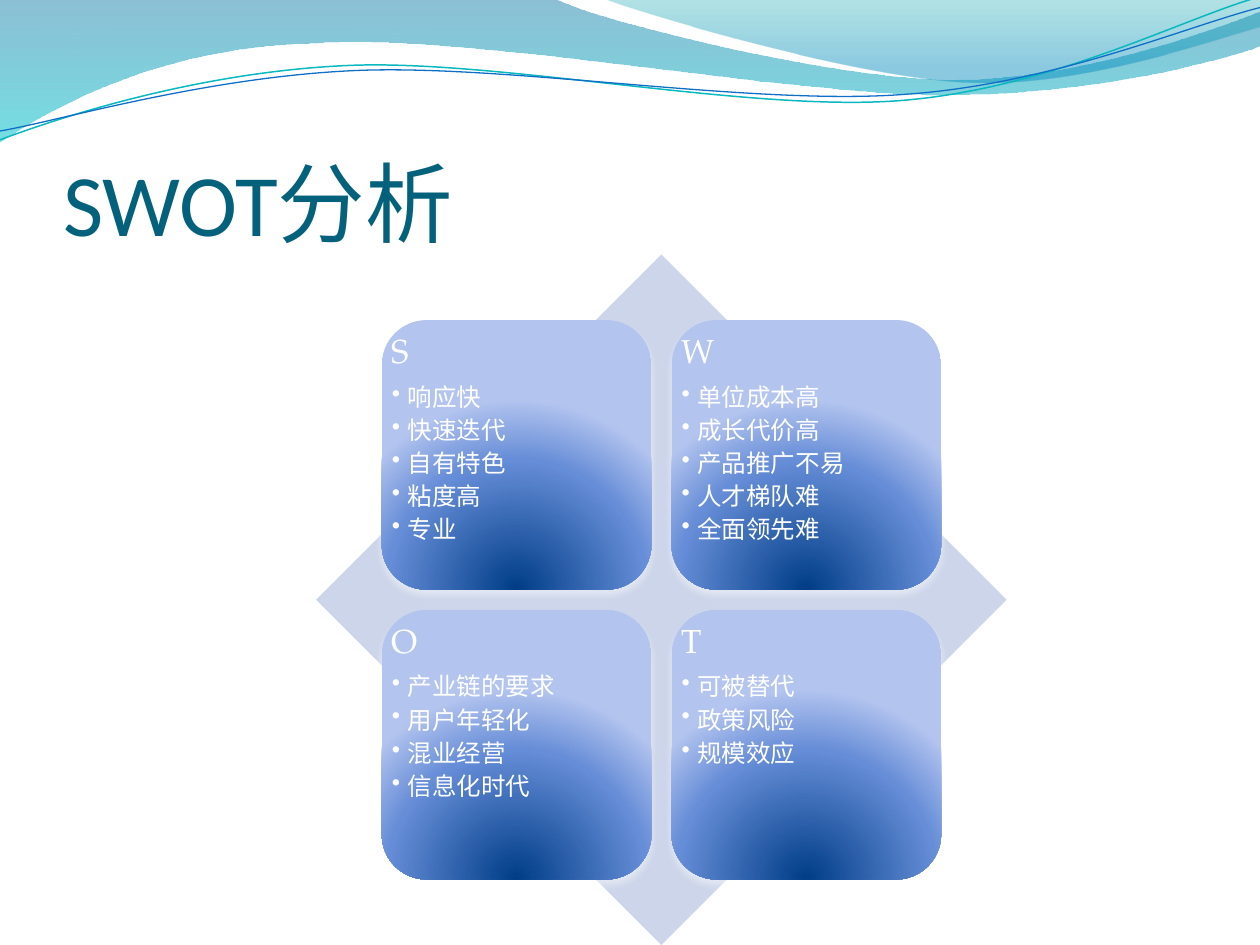
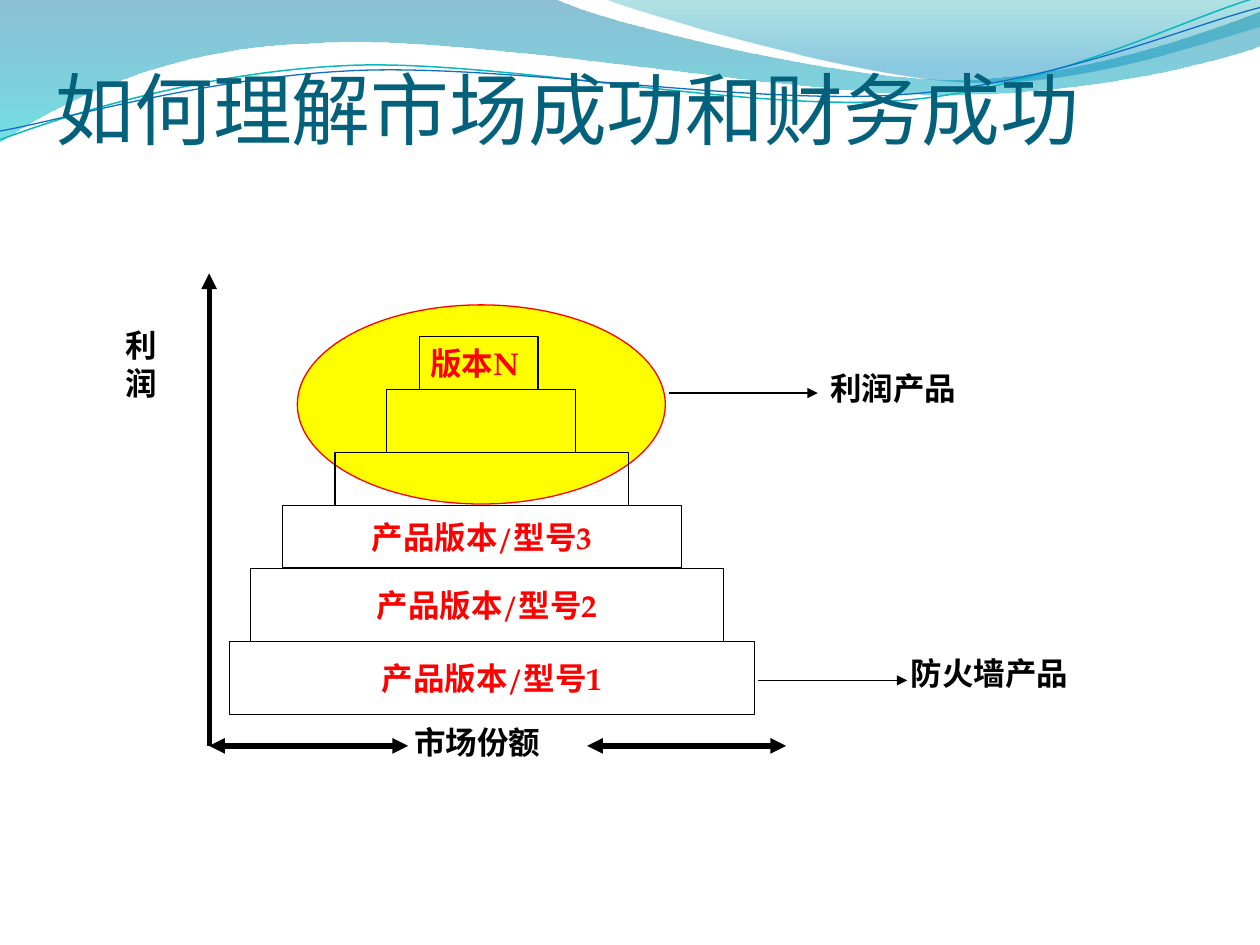
from lxml.etree import SubElement
from pptx import Presentation
from pptx.dml.color import RGBColor
from pptx.enum.shapes import MSO_CONNECTOR, MSO_SHAPE
from pptx.enum.text import MSO_ANCHOR, MSO_AUTO_SIZE, PP_ALIGN
from pptx.oxml import parse_xml
from pptx.oxml.ns import nsdecls, qn
from pptx.util import Inches, Pt

TEAL = RGBColor(0x04, 0x61, 0x7B)
AQUA = RGBColor(0x0A, 0xB8, 0xBF)
BLUE = RGBColor(0x0F, 0x6F, 0xC6)
PALE_BLUE = RGBColor(0xCC, 0xD5, 0xEA)
WHITE = RGBColor(0xFF, 0xFF, 0xFF)
BLACK = RGBColor(0x00, 0x00, 0x00)
RED = RGBColor(0xFF, 0x00, 0x00)
YELLOW = RGBColor(0xFF, 0xFF, 0x00)
WAVE_DARK, WAVE_CYAN = RGBColor(0x00, 0x74, 0xA1), RGBColor(0x00, 0xC6, 0xCF)
WAVE_GREEN, WAVE_BLUE = RGBColor(0x00, 0xA1, 0xA9), RGBColor(0x00, 0x8B, 0xBF)
CARD_DARK, CARD_MID = RGBColor(0x00, 0x3D, 0x87), RGBColor(0x66, 0x8D, 0xD7)
CARD_LIGHT = RGBColor(0xB3, 0xC4, 0xEF)

TITLE_FONT, BODY_FONT = "Calibri", "TeX Gyre Pagella"
DOWNWARD = '<a:lin ang="5400000" scaled="0"/>'
FROM_BELOW = ('<a:path path="circle"><a:fillToRect l="50000" t="130000" '
              'r="50000" b="-30000"/></a:path>')


def fill_gradient(shape, stops, direction):
    """Fill with (position %, colour, opacity %) stops."""
    stop_xml = "".join(
        f'<a:gs pos="{position * 1000}"><a:srgbClr val="{colour}">'
        f'<a:alpha val="{opacity * 1000}"/></a:srgbClr></a:gs>'
        for position, colour, opacity in stops)
    gradient = parse_xml(f'<a:gradFill {nsdecls("a")} rotWithShape="1">'
                         f'<a:gsLst>{stop_xml}</a:gsLst>{direction}</a:gradFill>')
    shape.fill.background()
    no_fill = shape.element.spPr.find(qn("a:noFill"))
    shape.element.spPr.replace(no_fill, gradient)


def write(paragraph, text, size, colour, font=BODY_FONT, bold=False):
    paragraph.text = text
    for span in paragraph.runs:
        span.font.name = font
        span.font.size = Pt(size)
        span.font.bold = bold
        span.font.color.rgb = colour


deck = Presentation()
deck.slide_width, deck.slide_height = Inches(10), Inches(7.5)
layout = deck.slide_layouts[5]

# Title, size, then left, top, width and height of its box
titles = [
    ("SWOT分析", 50, (0.5, 0.77, 9.08, 1.25)),
    ("如何理解市场成功和财务成功", 45, (0.44, 0.36, 9.18, 0.87)),
]
pages = []
for text, size, place in titles:
    page = deck.slides.add_slide(layout)
    title = page.shapes.title
    title.left, title.top, title.width, title.height = map(Inches, place)
    frame = title.text_frame
    frame.auto_size = MSO_AUTO_SIZE.NONE
    frame.vertical_anchor = MSO_ANCHOR.BOTTOM
    frame.margin_left = frame.margin_right = frame.margin_bottom = 0
    frame.margin_top = Inches(0.05)
    write(frame.paragraphs[0], text, size, TEAL, TITLE_FONT)
    frame.paragraphs[0].alignment = PP_ALIGN.LEFT
    pages.append(page)
swot_page, success_page = pages

# Shared waves: start, then corners (x, y) or curves (two controls and an end)
waves = [
    ((0, 0), [(4.4, -0.01), (4.76, 0.17, 6.64, 0.63, 7.58, 0.63),
              (8.53, 0.63, 9.58, 0.26, 10, 0.09), (10.01, 0.36),
              (9.83, 0.44, 8.7, 0.76, 7.46, 0.75),
              (6.22, 0.75, 3.82, 0.28, 2.57, 0.34),
              (1.29, 0.36, 0.46, 0.83, -0.01, 1.13)],
     [(0, WAVE_DARK, 45), (100, WAVE_CYAN, 55)], None),
    ((4.79, -0.01), [(5.09, 0.11, 6.82, 0.62, 7.69, 0.65),
                     (8.56, 0.69, 9.61, 0.32, 10, 0.21), (10, 0)],
     [(0, WAVE_GREEN, 30), (80, WAVE_BLUE, 45)], None),
    ((0, 1.11), [(0.48, 0.93, 1.58, 0.57, 2.77, 0.52),
                 (3.95, 0.47, 5.93, 0.89, 7.13, 0.8),
                 (8.33, 0.71, 9.38, 0.15, 9.98, -0.02)], None, (AQUA, 0.85)),
    ((0, 1.04), [(0.47, 0.96, 1.64, 0.61, 2.83, 0.56),
                 (4.03, 0.51, 5.97, 0.84, 7.17, 0.75),
                 (8.36, 0.67, 9.41, 0.21, 10, 0.06)], None, (BLUE, 0.75)),
]
for depth, (start, segments, stops, stroke) in enumerate(waves):
    outline = swot_page.shapes.build_freeform(*map(Inches, start))
    outline.add_line_segments([tuple(map(Inches, segment[-2:])) for segment in segments],
                              close=stops is not None)
    wave = outline.convert_to_shape()
    straight_lines = list(wave.element.iter(qn("a:lnTo")))
    for straight, segment in zip(straight_lines, segments):
        if len(segment) == 6:
            straight.tag = qn("a:cubicBezTo")
            controls = [(segment[0], segment[1]), (segment[2], segment[3])]
            for position, (x, y) in enumerate(controls):
                control = SubElement(straight, qn("a:pt"), x=str(Inches(x) - wave.left),
                                     y=str(Inches(y) - wave.top))
                straight.insert(position, control)
    wave.shadow.inherit = False
    if stops:
        fill_gradient(wave, stops, DOWNWARD)
        wave.line.fill.background()
    else:
        wave.fill.background()
        wave.line.color.rgb, wave.line.width = stroke[0], Pt(stroke[1])
    layout.shapes.element.insert(2 + depth, wave.element)

# SWOT matrix: a 2 x 2 grid of cards on a diamond
CARD, CARD_PITCH, GRID_LEFT, GRID_TOP = 2.14, 2.3, 3.03, 2.54
diamond = swot_page.shapes.add_shape(
    MSO_SHAPE.DIAMOND, Inches(2.51), Inches(2.02), Inches(5.48), Inches(5.48))
diamond.shadow.inherit = False
diamond.fill.solid()
diamond.fill.fore_color.rgb = PALE_BLUE
diamond.line.fill.background()

cards = [
    ("S", ["响应快", "快速迭代", "自有特色", "粘度高", "专业"]),
    ("W", ["单位成本高", "成长代价高", "产品推广不易", "人才梯队难", "全面领先难"]),
    ("O", ["产业链的要求", "用户年轻化", "混业经营", "信息化时代"]),
    ("T", ["可被替代", "政策风险", "规模效应"]),
]
for index, (letter, points) in enumerate(cards):
    row, column = divmod(index, 2)
    place = (Inches(GRID_LEFT + column * CARD_PITCH), Inches(GRID_TOP + row * CARD_PITCH),
             Inches(CARD), Inches(CARD))
    card = swot_page.shapes.add_shape(MSO_SHAPE.ROUNDED_RECTANGLE, *place)
    card.line.fill.background()
    fill_gradient(card, [(0, CARD_DARK, 100), (68, CARD_MID, 100), (100, CARD_LIGHT, 100)],
                  FROM_BELOW)
    card.element.spPr.append(parse_xml(
        f'<a:effectLst {nsdecls("a")}><a:outerShdw blurRad="{Pt(4.5)}" dist="{Pt(3)}" '
        f'dir="5400000" rotWithShape="0"><a:srgbClr val="{WHITE}"><a:alpha val="48000"/>'
        '</a:srgbClr></a:outerShdw></a:effectLst>'))

    frame = swot_page.shapes.add_textbox(*place).text_frame
    frame.word_wrap = True
    frame.margin_left = frame.margin_right = Inches(0.08)
    frame.margin_top = frame.margin_bottom = Inches(0.08)
    write(frame.paragraphs[0], letter, 19, WHITE)
    frame.paragraphs[0].space_after = Pt(6.65)
    for point in points:
        para = frame.add_paragraph()
        write(para, point, 14, WHITE)
        para.level = 1
        para.space_after = Pt(2.1)
        properties = para._p.get_or_add_pPr()
        properties.set("marL", str(Pt(9)))
        properties.set("indent", str(-Pt(9)))
        SubElement(properties, qn("a:buChar"), char="•")

# Product pyramid: profit products highlighted at its top
highlight = success_page.shapes.add_shape(
    MSO_SHAPE.OVAL, Inches(2.36), Inches(2.42), Inches(2.92), Inches(1.58))
highlight.shadow.inherit = False
highlight.fill.solid()
highlight.fill.fore_color.rgb = YELLOW
highlight.line.color.rgb, highlight.line.width = RED, Pt(0.75)
success_page.shapes.element.insert(2, highlight.element)

# Left, width, height and text of each tier, stacked from the top down
tiers = [
    (3.33, 0.94, 0.42, "版本N "),
    (3.07, 1.5, 0.5, ""),
    (2.66, 2.33, 0.42, ""),
    (2.24, 3.17, 0.5, "产品版本/型号3"),
    (1.99, 3.75, 0.58, "产品版本/型号2"),
    (1.82, 4.17, 0.58, "产品版本/型号1"),
]
tier_top = 2.67
for left, width, height, text in tiers:
    tier = success_page.shapes.add_shape(
        MSO_SHAPE.RECTANGLE, Inches(left), Inches(tier_top), Inches(width), Inches(height))
    tier.shadow.inherit = False
    tier.fill.background()
    tier.line.color.rgb, tier.line.width = BLACK, Pt(0.75)
    if text:
        frame = tier.text_frame
        frame.word_wrap = False
        frame.vertical_anchor = MSO_ANCHOR.MIDDLE
        write(frame.paragraphs[0], text, 18, RED, bold=True)
        frame.paragraphs[0].alignment = PP_ALIGN.CENTER
    tier_top += height

# Start, end, width and arrowheads
AXIS_X, AXIS_Y = 1.66, 5.92
arrows = [
    ((AXIS_X, AXIS_Y), (AXIS_X, 2.17), 3, ["tailEnd"]),
    ((AXIS_X, AXIS_Y), (3.24, AXIS_Y), 3, ["headEnd", "tailEnd"]),
    ((4.66, AXIS_Y), (6.24, AXIS_Y), 3, ["headEnd", "tailEnd"]),
    ((6.02, 5.4), (7.2, 5.4), 0.75, ["tailEnd"]),
    ((5.31, 3.12), (6.49, 3.12), 0.75, ["tailEnd"]),
]
for start, end, width, heads in arrows:
    arrow = success_page.shapes.add_connector(
        MSO_CONNECTOR.STRAIGHT, *map(Inches, start + end))
    arrow.line.color.rgb, arrow.line.width = BLACK, Pt(width)
    for head in heads:
        SubElement(arrow.line._get_or_add_ln(), qn(f"a:{head}"), type="triangle")
    SubElement(arrow.element.spPr, qn("a:effectLst"))

labels = [
    ("利润", 0.9, 2.54, 0.5, 0.9),
    ("市场份额", 3.19, 5.69, 1.95, 0.5),
    ("防火墙产品", 7.13, 5.14, 1.97, 0.5),
    ("利润产品", 6.49, 2.88, 1.97, 0.5),
]
for text, *place in labels:
    frame = success_page.shapes.add_textbox(*map(Inches, place)).text_frame
    frame.word_wrap = True
    write(frame.paragraphs[0], text, 18, BLACK, bold=True)

deck.save("out.pptx")
